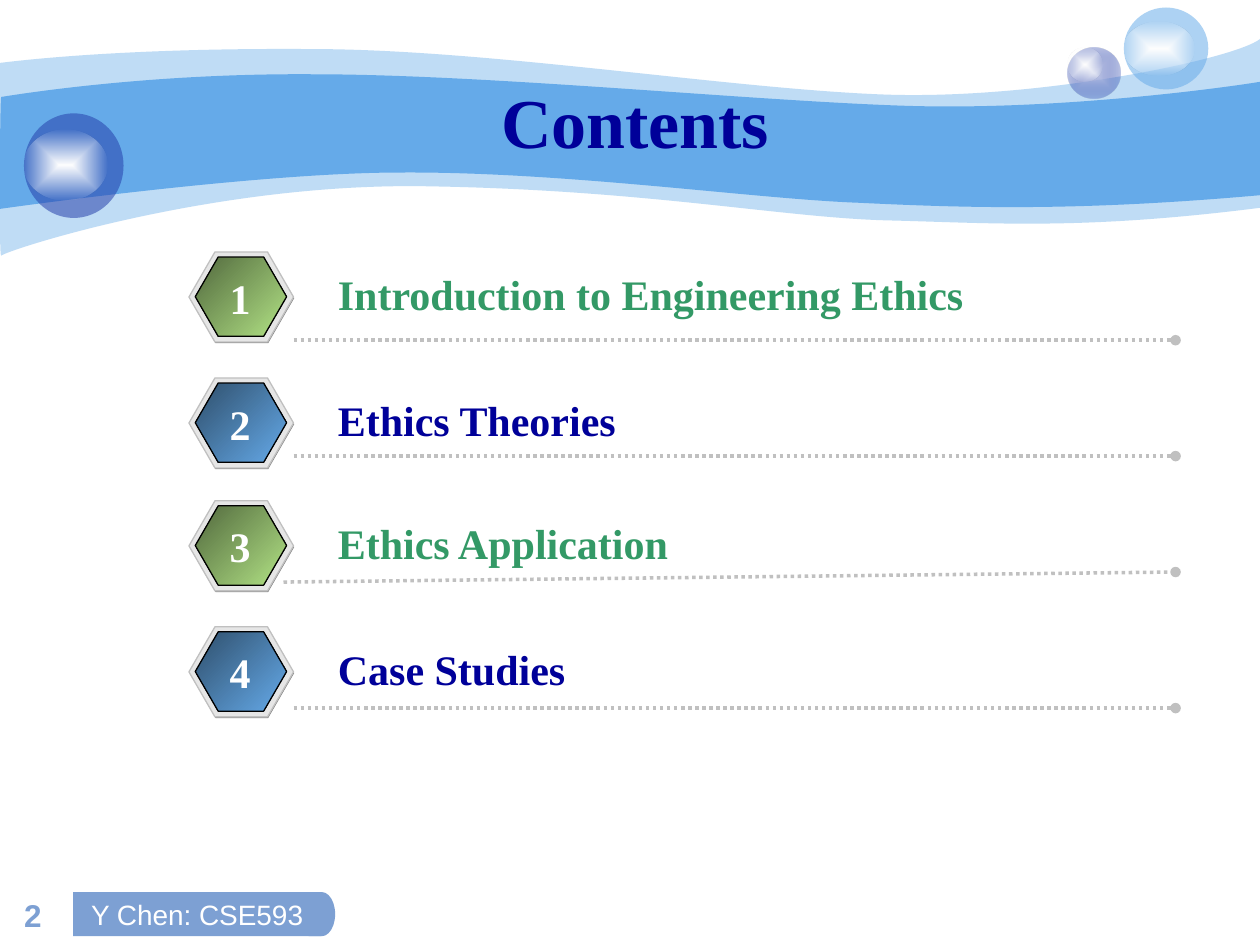
import dataclasses

import lxml.etree
import pptx
import pptx.dml.color
import pptx.enum.dml
import pptx.enum.shapes
import pptx.enum.text
import pptx.oxml.ns
import pptx.util

COLUMNS, ROWS = 100, 75
CELL = pptx.util.Inches(10) // COLUMNS
SHAPE = pptx.enum.shapes.MSO_SHAPE
ALIGN = pptx.enum.text.PP_ALIGN
ANCHOR = pptx.enum.text.MSO_ANCHOR
AUTO_SIZE = pptx.enum.text.MSO_AUTO_SIZE


@dataclasses.dataclass(frozen=True)
class Theme:
    """Colours, fonts and type sizes of the slide."""
    sky: str = "65AAE9"
    royal: str = "233DA9"
    lilac: str = "C7CEE9"
    footer: str = "7DA0D3"
    navy: str = "000099"
    green: str = "339966"
    white: str = "FFFFFF"
    black: str = "000000"
    silver: str = "C0C0C0"
    rim: str = "E6E6E6"
    shade: str = "808080"
    leaf: tuple = ("52693E", "B2E385")
    water: tuple = ("2F4F6C", "65AAE9")
    serif: str = "Times New Roman"
    sans: str = "Arial"
    title_size: int = 40
    entry_size: int = 24
    page_size: int = 18
    footer_size: int = 16


THEME = Theme()

OUTER_WAVE = [
    (0, 5), (2.4, 4.7, 10.7, 3.8, 24.7, 3.9), (38.6, 3.9, 57.5, 7, 69.9, 7.5),
    (82.2, 8, 98, 4.7, 100, 3.1), (100, 16.5), (85.8, 18.3, 78.7, 17.7, 70.5, 17.5),
    (62.2, 17.3, 51.5, 15.1, 34.3, 14.8), (17.2, 14.4, 0.4, 19.9, 0.1, 20.3),
    (-0.1, 20.8, 0, 7.5, 0, 5)]
INNER_WAVE = [
    (0.1, 7.7), (0.2, 7.7, 11, 5.8, 24.8, 5.9), (38.6, 5.9, 59.5, 8, 71.8, 8.4),
    (84.1, 8.8, 97.6, 6.9, 100, 6.5), (100, 15.5), (85.3, 16.8, 76.5, 16.5, 68.2, 16.1),
    (59.9, 15.8, 44.7, 13.6, 31.7, 13.7), (20.3, 13.7, -0.2, 16.6, -0.1, 16.6),
    (0, 16.6, 0, 7.7, 0.1, 7.7)]

ENTRIES = [
    ("Introduction to Engineering Ethics", 20, 57.5, (23.3, 27, 93.3, 27)),
    ("Ethics Theories", 30, 52.5, (23.3, 36.2, 93.3, 36.2)),
    ("Ethics Application", 39.75, 62.5, (22.5, 46.2, 93.3, 45.4)),
    ("Case Studies", 49.75, 69.2, (23.3, 56.2, 93.3, 56.2)),
]


def cells(*lengths):
    """Convert grid cells to EMU."""
    return [round(length * CELL) for length in lengths]


def rgb(code):
    """Return a colour object for a hex code."""
    return pptx.dml.color.RGBColor.from_string(code)


def add_element(parent, tag, **attributes):
    """Append a DrawingML element to parent."""
    child = lxml.etree.SubElement(parent, pptx.oxml.ns.qn("a:" + tag))
    for key, value in attributes.items():
        child.set(key, str(value))
    return child


def paint(shape, color, opacity=100):
    """Give a shape a solid fill without outline or shadow."""
    shape.shadow.inherit = False
    shape.line.fill.background()
    shape.fill.solid()
    shape.fill.fore_color.rgb = rgb(color)
    if opacity < 100:
        solid = shape.fill._xPr.find(pptx.oxml.ns.qn("a:solidFill"))
        add_element(solid[0], "alpha", val=opacity * 1000)


def paint_gradient(shape, start, end, end_opacity=100, angle=None):
    """Fill with a linear gradient at angle, or from the centre without one."""
    shape.fill.gradient()
    gradient = shape.fill._xPr.find(pptx.oxml.ns.qn("a:gradFill"))
    for child in list(gradient):
        gradient.remove(child)
    stops = add_element(gradient, "gsLst")
    for position, color, opacity in ((0, start, 100), (100, end, end_opacity)):
        stop = add_element(stops, "gs", pos=position * 1000)
        tint = add_element(stop, "srgbClr", val=color)
        if opacity < 100:
            add_element(tint, "alpha", val=opacity * 1000)
    if angle is None:
        centre = add_element(gradient, "path", path="rect")
        add_element(centre, "fillToRect", l=50000, t=50000, r=50000, b=50000)
    else:
        add_element(gradient, "lin", ang=angle * 60000, scaled=0)


def add_preset(shapes, kind, place, color, opacity=100, outline=None):
    """Add a filled preset shape, optionally outlined."""
    shape = shapes.add_shape(kind, *cells(*place))
    paint(shape, color, opacity)
    if outline:
        shape.line.color.rgb = rgb(outline)
        shape.line.width = pptx.util.Pt(0.75)
    return shape


def write(shape, text, size, color, font=THEME.serif, bold=True, align=ALIGN.LEFT,
          anchor=ANCHOR.TOP, wrap=True, grow=False):
    """Write one formatted paragraph into a shape."""
    frame = shape.text_frame
    frame.word_wrap = wrap
    frame.auto_size = AUTO_SIZE.SHAPE_TO_FIT_TEXT if grow else AUTO_SIZE.NONE
    frame.vertical_anchor = anchor
    paragraph = frame.paragraphs[0]
    paragraph.alignment = align
    run = paragraph.add_run()
    run.text = text
    run.font.size = pptx.util.Pt(size)
    run.font.name = font
    run.font.bold = bold
    run.font.color.rgb = rgb(color)


def add_wave(shapes, outline, opacity=100):
    """Add a band bounded by cubic curves and straight edges."""
    points = [cells(*segment[i:i + 2]) for segment in outline for i in range(0, len(segment), 2)]
    builder = shapes.build_freeform(*points[0], scale=1.0)
    builder.add_line_segments(points[1:], close=True)
    wave = builder.convert_to_shape()
    edges = iter(list(wave._element.spPr.iter(pptx.oxml.ns.qn("a:lnTo"))))
    for segment in outline[1:]:
        edge = next(edges)
        if len(segment) == 6:
            curve = add_element(edge.getparent(), "cubicBezTo")
            edge.addprevious(curve)
            for control in (edge, next(edges), next(edges)):
                curve.append(control[0])
                control.getparent().remove(control)
    paint(wave, THEME.sky, opacity)


def add_bubble(shapes, place, glow, color, opacity=53, center=None):
    """Add a translucent ball with a soft highlight."""
    bubble = shapes.add_group_shape().shapes
    ball = add_preset(bubble, SHAPE.OVAL, place, color, opacity)
    if center:
        paint_gradient(ball, center, color, opacity)
    highlight = add_preset(bubble, SHAPE.OVAL, glow, THEME.white)
    paint_gradient(highlight, THEME.white, THEME.white, 0)


def add_badge(shapes, number, top, gradient):
    """Add a numbered hexagon badge."""
    badge = shapes.add_group_shape().shapes
    layers = [((15.05, top + 0.1, 8.3, 7.15), THEME.shade, None),
              ((15, top, 8.3, 7.15), THEME.rim, THEME.silver),
              ((15.5, top + 0.4, 7.25, 6.3), gradient[1], THEME.black)]
    for place, color, outline in layers:
        hexagon = add_preset(badge, SHAPE.HEXAGON, place, color, outline=outline)
        hexagon.adjustments[0] = 0.289
    paint_gradient(hexagon, *gradient, angle=45)
    label = badge.add_textbox(*cells(17.25, top + 1.1, 3.6, 5))
    write(label, str(number), THEME.entry_size, THEME.white, align=ALIGN.CENTER,
          wrap=False, grow=True)


def add_rule(shapes, ends):
    """Add a dotted rule that ends in a dot."""
    rule = shapes.add_connector(pptx.enum.shapes.MSO_CONNECTOR.STRAIGHT, *cells(*ends))
    rule.line.color.rgb = rgb(THEME.silver)
    rule.line.width = pptx.util.Pt(2)
    rule.line.dash_style = pptx.enum.dml.MSO_LINE.ROUND_DOT
    add_element(rule.line._get_or_add_ln(), "tailEnd", type="oval")
    add_element(rule._element.spPr, "effectLst")


def add_footer(shapes):
    """Add the course tab and the page number."""
    tab = shapes.add_group_shape().shapes
    add_preset(tab, SHAPE.FLOWCHART_DELAY, (24.5, 70.8, 2.1, 3.5), THEME.footer)
    course = add_preset(tab, SHAPE.ROUNDED_RECTANGLE, (5.8, 70.8, 19.7, 3.5), THEME.footer)
    course.adjustments[0] = 0
    write(course, "Y Chen: CSE593", THEME.footer_size, THEME.white, font=THEME.sans,
          bold=False, align=ALIGN.CENTER, anchor=ANCHOR.MIDDLE, wrap=False)
    page = shapes.add_textbox(*cells(-0.6, 69.2, 6.4, 5.4))
    write(page, "2", THEME.page_size, THEME.footer, font=THEME.sans,
          align=ALIGN.CENTER, anchor=ANCHOR.BOTTOM)


def main():
    """Build and save the contents slide."""
    deck = pptx.Presentation()
    deck.slide_width, deck.slide_height = cells(COLUMNS, ROWS)
    shapes = deck.slides.add_slide(deck.slide_layouts[6]).shapes
    add_wave(shapes, OUTER_WAVE, 41)
    add_wave(shapes, INNER_WAVE)
    add_bubble(shapes, (84.7, 3.8, 4.2, 4), (84.7, 3.8, 2.8, 2.7), THEME.royal, 31, THEME.lilac)
    add_bubble(shapes, (89.2, 0.6, 6.7, 6.5), (89.2, 1.7, 5.6, 4.3), THEME.sky)
    add_bubble(shapes, (1.9, 9, 7.9, 8.3), (1.9, 10.3, 6.6, 5.6), THEME.royal)
    add_footer(shapes)
    title = shapes.add_textbox(*cells(10, 4.2, 80.8, 10.8))
    write(title, "Contents", THEME.title_size, THEME.navy, align=ALIGN.CENTER,
          anchor=ANCHOR.MIDDLE)
    styles = [(THEME.water, THEME.navy), (THEME.leaf, THEME.green)]
    for number, (topic, top, width, ends) in enumerate(ENTRIES, start=1):
        gradient, color = styles[number % 2]
        add_rule(shapes, ends)
        entry = shapes.add_textbox(*cells(25.83, top + 0.83, width, 5))
        write(entry, topic, THEME.entry_size, color, grow=True)
        add_badge(shapes, number, top, gradient)
    deck.save("out.pptx")


if __name__ == "__main__":
    main()
